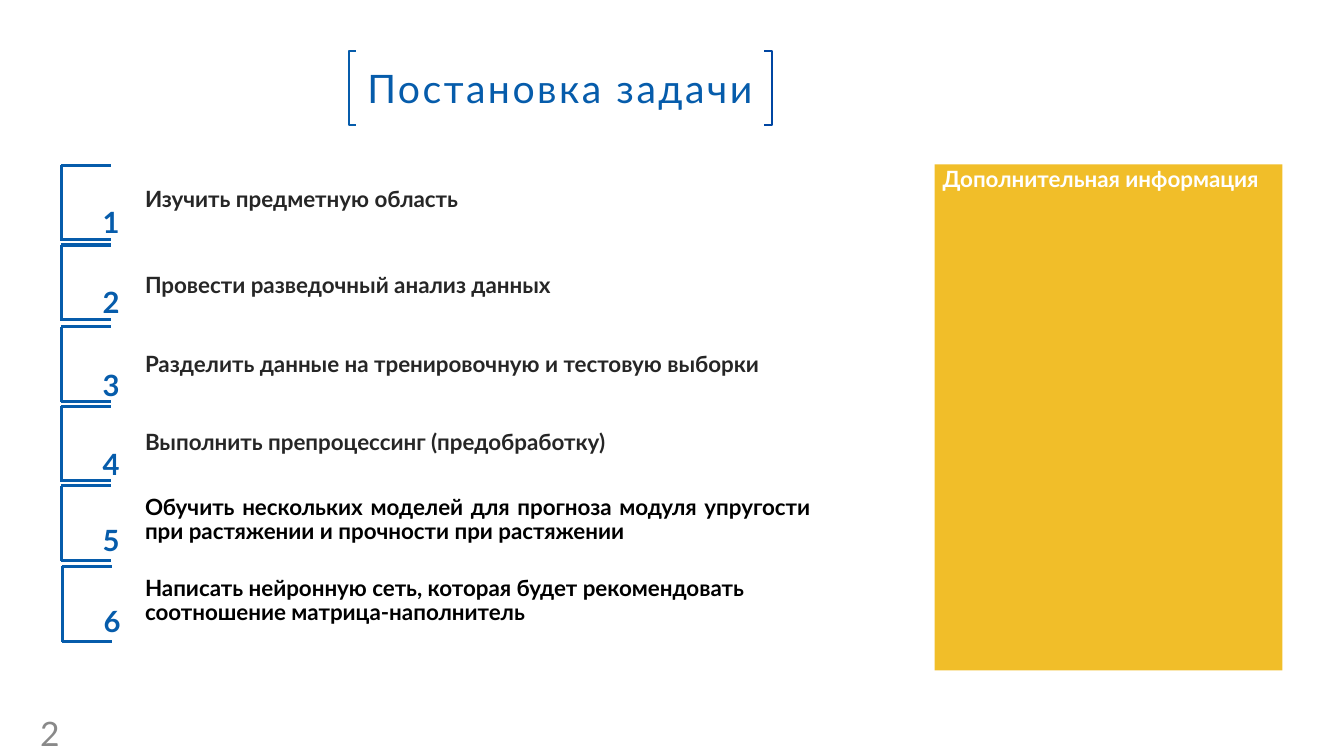
"""Builds the task statement slide with six numbered steps and a side panel."""
from lxml import etree
from pptx import Presentation
from pptx.dml.color import RGBColor
from pptx.enum.shapes import MSO_CONNECTOR, MSO_SHAPE
from pptx.enum.text import MSO_ANCHOR, MSO_AUTO_SIZE, PP_ALIGN
from pptx.oxml.ns import qn
from pptx.util import Inches, Pt

BLUE = RGBColor(0x06, 0x5C, 0xAB)
NAVY = RGBColor(0x00, 0x46, 0xA2)
YELLOW = RGBColor(0xF1, 0xBE, 0x29)
WHITE = RGBColor(0xFF, 0xFF, 0xFF)
BLACK = RGBColor(0x00, 0x00, 0x00)
DARK = RGBColor(0x26, 0x26, 0x26)
GREY = RGBColor(0x89, 0x89, 0x89)
FONT = "Lato"

TITLE = "Постановка задачи"
PANEL = "Дополнительная информация"
PAGE = "2"
# text, bracket left, bracket top, number top, text top, colour, spacing, alignment
STEPS = [
    ("Изучить предметную область", 0.61, 1.64, 1.92, 1.79, DARK, None, None),
    ("Провести разведочный анализ данных", 0.61, 2.43, 2.71, 2.64, DARK, None, None),
    ("Разделить данные на тренировочную и тестовую выборки",
     0.61, 3.24, 3.53, 3.42, DARK, None, None),
    ("Выполнить препроцессинг (предобработку)", 0.61, 4.03, 4.32, 4.2, DARK, None, None),
    ("Обучить нескольких моделей для прогноза модуля упругости "
     "при растяжении и прочности при растяжении",
     0.61, 4.82, 5.07, 4.87, BLACK, 0.9, PP_ALIGN.JUSTIFY),
    ("Написать нейронную сеть, которая будет рекомендовать "
     "соотношение матрица-наполнитель", 0.62, 5.62, 5.88, 5.68, BLACK, 0.9, None),
]


def write(tf, text, size, color, bold=False, align=None, spacing=None):
    """Fill a text frame with one formatted paragraph and return its run."""
    tf.word_wrap = True
    p = tf.paragraphs[0]
    r = p.add_run()
    r.text = text
    p.alignment, p.line_spacing = align, spacing
    font = p.font
    font.name, font.size, font.bold = FONT, Pt(size), bold
    font.color.rgb = color
    return r


def add_text(s, box, *args, **kwargs):
    """Add a text box and return its frame and run."""
    tf = s.shapes.add_textbox(*map(Inches, box)).text_frame
    return tf, write(tf, *args, **kwargs)


def add_line(s, x1, y1, x2, y2):
    """Add a blue line without shadow."""
    line = s.shapes.add_connector(MSO_CONNECTOR.STRAIGHT, *map(Inches, (x1, y1, x2, y2)))
    line.line.color.rgb, line.line.width = BLUE, Pt(2.25)
    etree.SubElement(line._element.spPr, qn("a:effectLst"))


def add_title_bracket(s, inner, outer, color):
    """Add a square bracket beside the title."""
    top, bottom = 0.51, 1.24
    corners = [(inner, top), (outer, top), (outer, bottom), (inner, bottom)]
    points = [(Inches(x), Inches(y)) for x, y in corners]
    builder = s.shapes.build_freeform(*points[0])
    builder.add_line_segments(points[1:], close=False)
    sp = builder.convert_to_shape()
    sp.fill.background()
    sp.line.color.rgb, sp.line.width = color, Pt(1.3)
    sp.shadow.inherit = False


def add_title(s):
    """Place the title between its brackets."""
    title = s.shapes.title
    title.left, title.top, title.width, title.height = map(Inches, (3.46, 0.51, 4.19, 0.73))
    tf = title.text_frame
    tf.auto_size, tf.vertical_anchor = MSO_AUTO_SIZE.NONE, MSO_ANCHOR.MIDDLE
    tf.margin_left = tf.margin_right = tf.margin_top = tf.margin_bottom = 0
    r = write(tf, TITLE, 28, BLUE, align=PP_ALIGN.CENTER)
    r._r.get_or_add_rPr().set("spc", "180")
    add_title_bracket(s, 3.53, 3.46, BLUE)
    add_title_bracket(s, 7.58, 7.66, NAVY)


def add_panel(s):
    """Add the yellow panel on the right."""
    sp = s.shapes.add_shape(MSO_SHAPE.RECTANGLE, *map(Inches, (9.27, 1.63, 3.45, 5.02)))
    sp.fill.solid()
    sp.fill.fore_color.rgb = YELLOW
    sp.line.fill.background()
    sp.shadow.inherit = False
    tf = sp.text_frame
    tf.vertical_anchor = MSO_ANCHOR.TOP
    tf.margin_left = tf.margin_right = Inches(0.08)
    tf.margin_top = tf.margin_bottom = Inches(0.04)
    write(tf, PANEL, 16, WHITE, True, PP_ALIGN.JUSTIFY, 0.9)


def add_step(s, number, step):
    """Add one bracket with its number and text."""
    text, x, y, number_top, text_top, color, spacing, align = step
    add_line(s, x, y, x, y + 0.75)
    for edge in (y, y + 0.74):
        add_line(s, x, edge, x + 0.49, edge)
    height = 0.59 if spacing else 0.37
    add_text(s, (1.34, text_top, 6.8, height), text, 16, color, True, align, spacing)
    _, r = add_text(s, (x + 0.31, number_top, 0.42, 0.5), str(number), 36, BLUE, True)
    r._r.get_or_add_rPr().set("baseline", "30000")


def main():
    """Build and save the slide."""
    prs = Presentation()
    prs.slide_width, prs.slide_height = Inches(13.33), Inches(7.5)
    s = prs.slides.add_slide(prs.slide_layouts[5])
    add_title(s)
    add_panel(s)
    for number, step in enumerate(STEPS, 1):
        add_step(s, number, step)
    tf, _ = add_text(s, (0.3, 7.12, 0.62, 0.3), PAGE, 24, GREY)
    tf.vertical_anchor = MSO_ANCHOR.MIDDLE
    prs.save("out.pptx")


if __name__ == "__main__":
    main()
